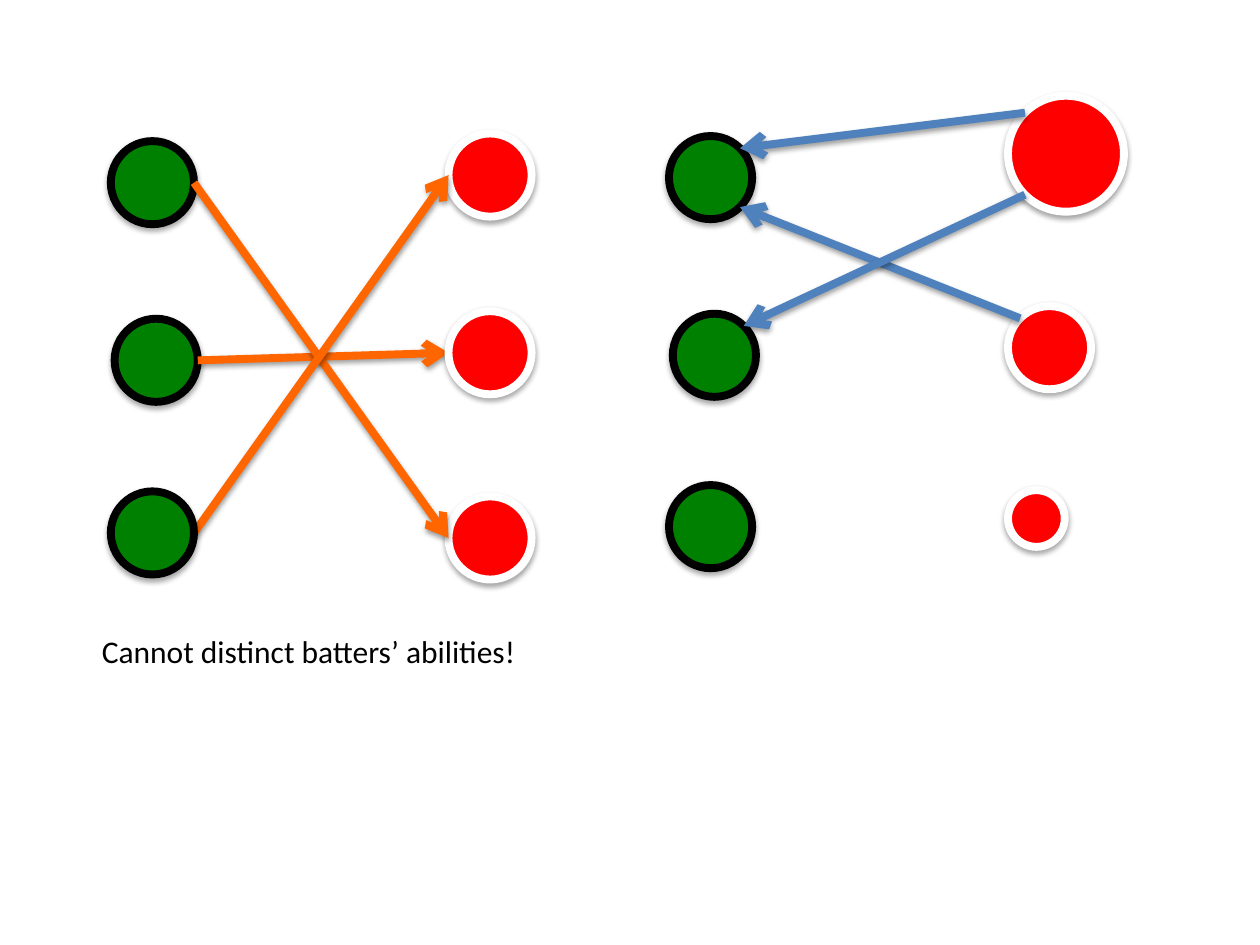
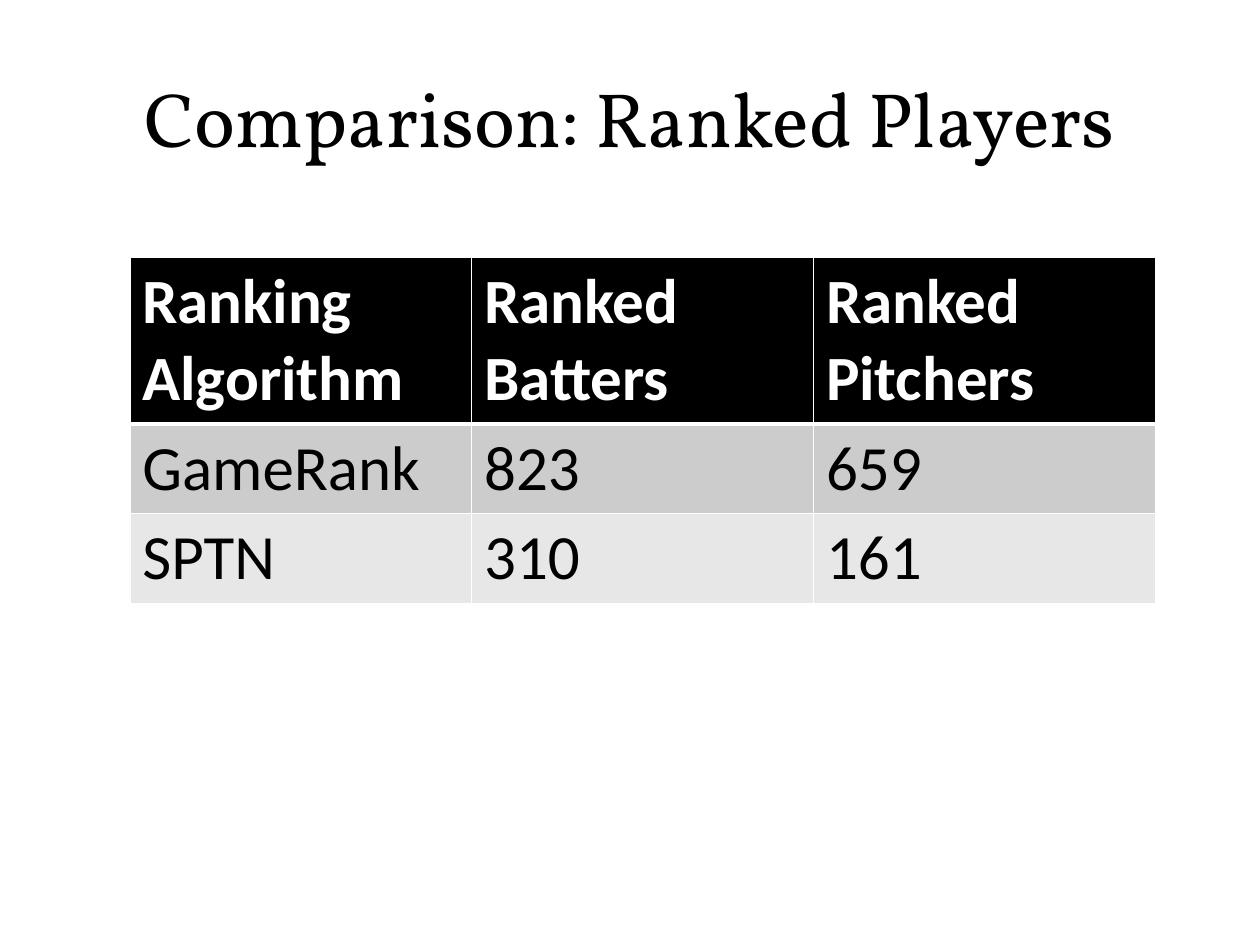
from collections import namedtuple
from math import cos, radians, sin

from lxml import etree
from pptx import Presentation
from pptx.dml.color import RGBColor
from pptx.enum.shapes import MSO_CONNECTOR, MSO_SHAPE
from pptx.enum.text import MSO_ANCHOR, MSO_AUTO_SIZE, PP_ALIGN
from pptx.oxml.ns import qn
from pptx.util import Pt

PX = 9144
OVAL = MSO_SHAPE.OVAL
STRAIGHT = MSO_CONNECTOR.STRAIGHT
LEFT, CENTER = PP_ALIGN.LEFT, PP_ALIGN.CENTER
MIDDLE = MSO_ANCHOR.MIDDLE
FIT_SHAPE = MSO_AUTO_SIZE.SHAPE_TO_FIT_TEXT

BLACK = RGBColor(0x00, 0x00, 0x00)
WHITE = RGBColor(0xFF, 0xFF, 0xFF)
GREEN = RGBColor(0x00, 0x80, 0x00)
RED = RGBColor(0xFF, 0x00, 0x00)
ORANGE = RGBColor(0xFF, 0x66, 0x00)
BLUE = RGBColor(0x4F, 0x81, 0xBD)
DARK_BAND = RGBColor(0xCC, 0xCC, 0xCC)
LIGHT_BAND = RGBColor(0xE7, 0xE7, 0xE7)

BODY_FONT, TITLE_FONT = "Calibri", "Vollkorn"
STROKE = Pt(4.5)
DISC_SIZE = 66
RIGHT_RIM, LEFT_RIM = 0, 180
LOWER_RIGHT, LOWER_LEFT, UPPER_LEFT, UPPER_RIGHT = 45, 135, 225, 315

Disc = namedtuple("Disc", "left top size fill outline")


def batter(left, top):
    """Describe a green batter disc."""
    return Disc(left, top, DISC_SIZE, GREEN, BLACK)


def pitcher(left, top, size=DISC_SIZE):
    """Describe a red pitcher disc."""
    return Disc(left, top, size, RED, WHITE)


def write_text(frame, text, size, color=BLACK, font=BODY_FONT, bold=False, align=LEFT):
    """Put one formatted paragraph in a text frame."""
    para = frame.paragraphs[0]
    para.alignment = align
    span = para.add_run()
    span.text = text
    span.font.size = Pt(size)
    span.font.name = font
    span.font.bold = bold
    span.font.color.rgb = color


def add_shadow(shape, distance, opacity):
    """Append a soft shadow that falls straight down."""
    effects = etree.SubElement(shape._element.spPr, qn("a:effectLst"))
    shadow = etree.SubElement(effects, qn("a:outerShdw"), blurRad="40000",
                              dist=str(distance), dir="5400000", rotWithShape="0")
    tint = etree.SubElement(shadow, qn("a:srgbClr"), val=str(BLACK))
    etree.SubElement(tint, qn("a:alpha"), val=str(opacity * 1000))


def draw_disc(page, left, top, disc):
    """Draw a disc relative to its panel corner."""
    shape = page.shapes.add_shape(OVAL, (left + disc.left) * PX, (top + disc.top) * PX,
                                  disc.size * PX, disc.size * PX)
    shape.fill.solid()
    shape.fill.fore_color.rgb = disc.fill
    shape.line.color.rgb = disc.outline
    shape.line.width = STROKE
    add_shadow(shape, 23000, 35)


def rim_point(left, top, disc, degrees):
    """Return the point on a disc's rim, clockwise from its right side."""
    radius = disc.size / 2
    x = left + disc.left + radius + radius * cos(radians(degrees))
    y = top + disc.top + radius + radius * sin(radians(degrees))
    return round(x * PX), round(y * PX)


def draw_arrow(page, start, end, color):
    """Draw an arrow between two points."""
    arrow = page.shapes.add_connector(STRAIGHT, *start, *end)
    arrow.line.color.rgb = color
    arrow.line.width = STROKE
    outline = arrow._element.spPr.find(qn("a:ln"))
    etree.SubElement(outline, qn("a:tailEnd"), type="arrow")
    add_shadow(arrow, 20000, 38)


def draw_panel(page, left, top, back, arrows, color, front=()):
    """Draw rear discs, arrows and front discs from a panel corner."""
    for disc in back:
        draw_disc(page, left, top, disc)
    for source, source_angle, target, target_angle in arrows:
        draw_arrow(page, rim_point(left, top, source, source_angle),
                   rim_point(left, top, target, target_angle), color)
    for disc in front:
        draw_disc(page, left, top, disc)


def draw_even_panel(page, left, top):
    """Draw the panel where all pitchers are the same size."""
    batters = [batter(0, 36), batter(3, 177), batter(0, 314)]
    pitchers = [pitcher(268, 30), pitcher(268, 171), pitcher(268, 318)]
    arrows = [(batters[i], RIGHT_RIM, pitchers[2 - i], LEFT_RIM) for i in (1, 0, 2)]
    draw_panel(page, left, top, batters[:2] + pitchers[::2], arrows, ORANGE,
               [batters[2], pitchers[1]])


def draw_weighted_panel(page, left, top):
    """Draw the panel where pitcher size shows ability."""
    batters = [batter(0, 32), batter(3, 173), batter(0, 309)]
    pitchers = [pitcher(269, 0, 92), pitcher(269, 167), pitcher(269, 313, 45)]
    arrows = [
        (pitchers[0], UPPER_LEFT, batters[0], UPPER_RIGHT),
        (pitchers[1], UPPER_LEFT, batters[0], LOWER_RIGHT),
        (pitchers[0], LOWER_LEFT, batters[1], UPPER_RIGHT),
    ]
    draw_panel(page, left, top, batters + pitchers, arrows, BLUE)


def draw_caption(page, left, top, width, height):
    """Add the remark below the even panel."""
    box = page.shapes.add_textbox(left * PX, top * PX, width * PX, height * PX)
    box.text_frame.word_wrap = False
    box.text_frame.auto_size = FIT_SHAPE
    write_text(box.text_frame, "Cannot distinct batters’ abilities!", 18)


def draw_title(page, text, left, top, width, height):
    """Fill and place the title placeholder."""
    title = page.shapes.title
    title.left, title.top = left * PX, top * PX
    title.width, title.height = width * PX, height * PX
    title.text_frame.vertical_anchor = MIDDLE
    write_text(title.text_frame, text, 44, font=TITLE_FONT, align=CENTER)


def set_borders(cell, top, bottom):
    """Give a cell white borders, with top and bottom widths in points."""
    properties = cell._tc.get_or_add_tcPr()
    for side, width in (("L", 1), ("R", 1), ("T", top), ("B", bottom)):
        border = etree.SubElement(properties, qn(f"a:ln{side}"), w=str(Pt(width)))
        fill = etree.SubElement(border, qn("a:solidFill"))
        etree.SubElement(fill, qn("a:srgbClr"), val=str(WHITE))


def draw_ranking_table(page, left, top, width):
    """Draw the table of ranked players."""
    rows = [
        ("Ranking Algorithm", "Ranked Batters", "Ranked Pitchers"),
        ("GameRank", "823", "659"),
        ("SPTN", "310", "161"),
    ]
    heights = (130, 70, 70)
    bands = (BLACK, DARK_BAND, LIGHT_BAND)
    rules = (1, 3, 1, 1)
    table = page.shapes.add_table(len(rows), len(rows[0]), left * PX, top * PX,
                                  width * PX, sum(heights) * PX).table
    for i, texts in enumerate(rows):
        table.rows[i].height = heights[i] * PX
        header = i == 0
        for j, text in enumerate(texts):
            cell = table.cell(i, j)
            set_borders(cell, rules[i], rules[i + 1])
            cell.fill.solid()
            cell.fill.fore_color.rgb = bands[i]
            write_text(cell.text_frame, text, 36, WHITE if header else BLACK, bold=header)


def build_matchups(deck):
    """Build the slide comparing the two kinds of links."""
    page = deck.slides.add_slide(deck.slide_layouts[6])
    draw_even_panel(page, 88, 76)
    draw_weighted_panel(page, 531, 76)
    draw_caption(page, 71, 497, 351, 40)


def build_comparison(deck):
    """Build the slide with the ranked player counts."""
    page = deck.slides.add_slide(deck.slide_layouts[5])
    draw_title(page, "Comparison: Ranked Players", 50, 30, 900, 125)
    draw_ranking_table(page, 103, 204, 814)


def main():
    """Build and save the deck."""
    deck = Presentation()
    deck.slide_width, deck.slide_height = 1000 * PX, 750 * PX
    build_matchups(deck)
    build_comparison(deck)
    deck.save("out.pptx")


if __name__ == "__main__":
    main()
